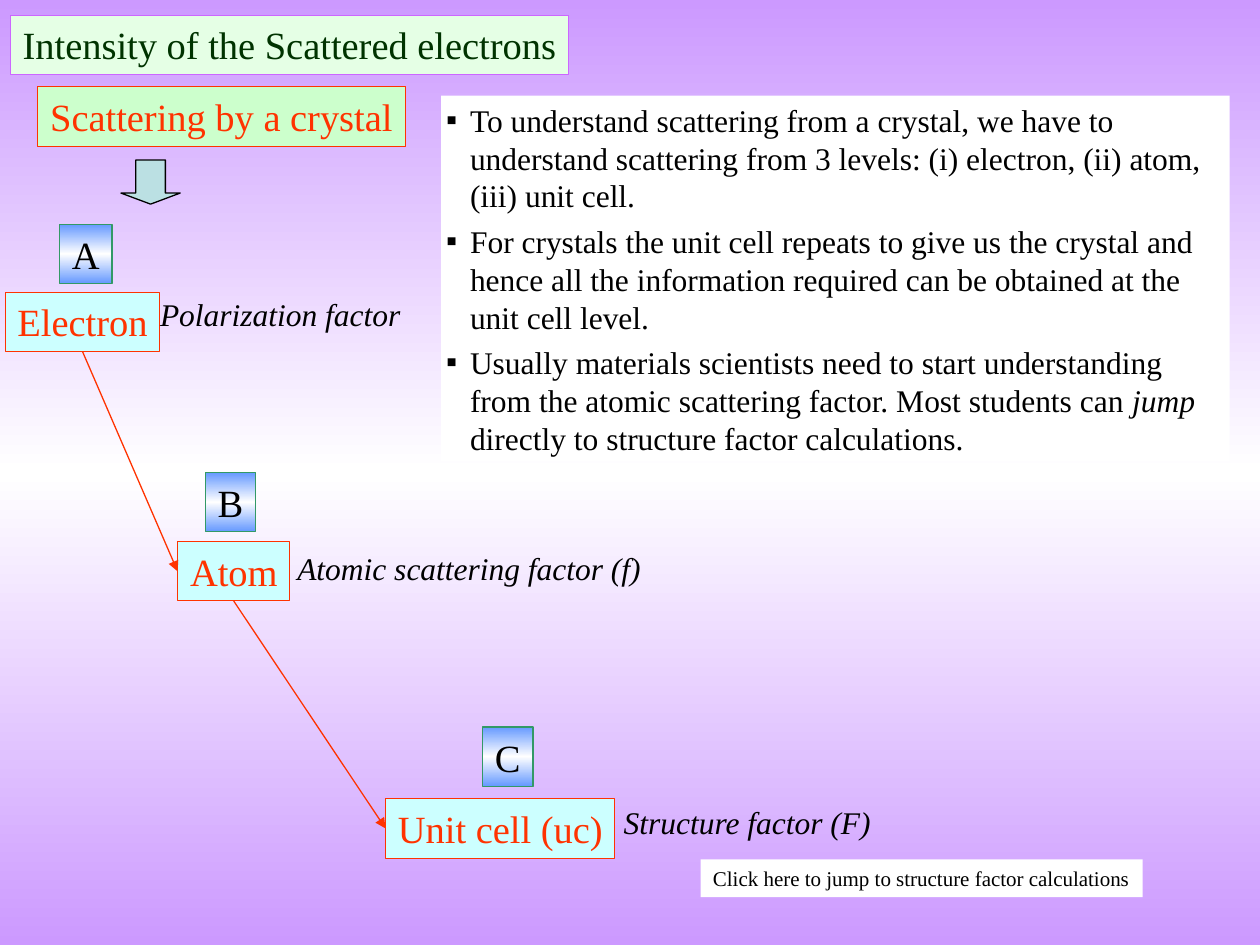
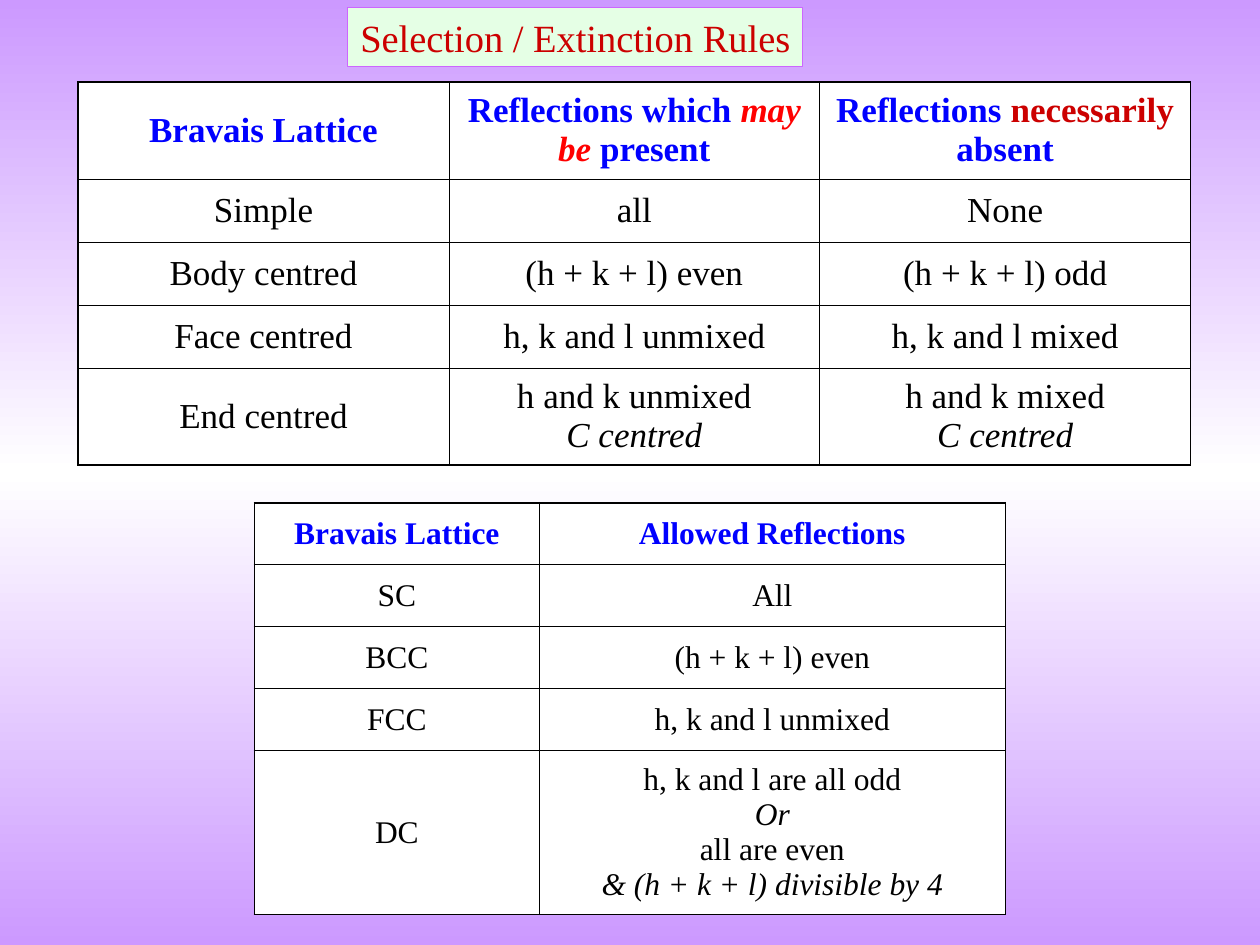
from copy import deepcopy

from lxml import etree
from pptx import Presentation
from pptx.dml.color import RGBColor
from pptx.enum.shapes import MSO_CONNECTOR, MSO_SHAPE
from pptx.enum.text import MSO_ANCHOR, MSO_AUTO_SIZE, PP_ALIGN
from pptx.oxml.ns import qn
from pptx.util import Inches, Pt

RECT, ARROW = MSO_SHAPE.RECTANGLE, MSO_SHAPE.RIGHT_ARROW
STRAIGHT = MSO_CONNECTOR.STRAIGHT
TOP, MIDDLE = MSO_ANCHOR.TOP, MSO_ANCHOR.MIDDLE
LEFT, CENTER = PP_ALIGN.LEFT, PP_ALIGN.CENTER
NO_FIT = MSO_AUTO_SIZE.NONE
BOTTOM_SIDE, LEFT_SIDE = 2, 1

FONT = "Times New Roman"
UNITS_PER_INCH = 10
COLORS = {
    "black": "000000", "white": "FFFFFF", "violet": "CC99FF",
    "title_fill": "E5FFE5", "title_line": "CC66FF", "dark_green": "003300",
    "level_fill": "CCFFFF", "topic_fill": "CCFFCC", "orange": "FF3300",
    "arrow_fill": "BBE0E3", "tag_edge": "6699FF", "tag_line": "339966",
    "blue": "0000FF", "red": "FF0000", "dark_red": "CC0000",
}


def rgb(name):
    """Return the named colour."""
    return RGBColor.from_string(COLORS[name])


def grid(*units):
    """Turn grid units, a hundredth of the slide's width each, into lengths."""
    return [Inches(u / UNITS_PER_INCH) for u in units]


def place(shape, at):
    """Move and size a shape on the grid."""
    shape.left, shape.top, shape.width, shape.height = grid(*at)


def paint(shape, fill, line=None, width=0.5):
    """Give a shape a solid fill and an outline, or no outline."""
    shape.fill.solid()
    shape.fill.fore_color.rgb = rgb(fill)
    outline(shape, line, width)


def outline(shape, line, width):
    """Set or remove the outline of a shape."""
    if line:
        shape.line.color.rgb = rgb(line)
        shape.line.width = Pt(width)
    else:
        shape.line.fill.background()


def mirror_gradient(fill, element, edge):
    """Fill from the edge colour to white and back, top to bottom."""
    fill.gradient()
    fill.gradient_angle = 270
    stops = next(element.iter(qn("a:gsLst")))
    stops.append(deepcopy(stops[0]))
    for stop, pos, name in zip(fill.gradient_stops, (0, 0.5, 1), (edge, "white", edge)):
        stop.position = pos
        stop.color.rgb = rgb(name)


def frame(shape, anchor=TOP, wrap=False, inset=(1, 0.5)):
    """Set up the text frame of a shape and return it."""
    tf = shape.text_frame
    tf.auto_size = NO_FIT
    tf.word_wrap = wrap
    tf.vertical_anchor = anchor
    tf.margin_left = tf.margin_right = grid(inset[0])[0]
    tf.margin_top = tf.margin_bottom = grid(inset[1])[0]
    return tf


def add_run(p, text, size, color="black", italic=False, bold=False):
    """Add one formatted run."""
    r = p.add_run()
    r.text = text
    font = r.font
    font.name, font.size, font.italic, font.bold = FONT, Pt(size), italic, bold
    font.color.rgb = rgb(color)


def write(tf, text, size, color="black", align=LEFT, italic=False):
    """Write one line of text into a frame."""
    p = tf.paragraphs[0]
    p.alignment = align
    p.space_before = Pt(0)
    add_run(p, text, size, color, italic)


def add_title(s, at, text, color):
    """Format the title placeholder as a framed heading kept on one line."""
    title = s.shapes.title
    place(title, at)
    paint(title, "title_fill", "title_line")
    tf = frame(title)
    tf.margin_right = 0
    write(tf, text, 22, color)


def add_box(s, at, text, fill, line=None, color="black", size=22):
    """Add a filled rectangle with one line of text."""
    box = s.shapes.add_shape(RECT, *grid(*at))
    box.shadow.inherit = False
    paint(box, fill, line)
    write(frame(box), text, size, color)
    return box


def add_tag(s, at, letter):
    """Add a gradient square with a letter."""
    tag = s.shapes.add_shape(RECT, *grid(*at))
    tag.shadow.inherit = False
    mirror_gradient(tag.fill, tag.element, "tag_edge")
    outline(tag, "tag_line", 0.75)
    write(frame(tag, MIDDLE), letter, 22, align=CENTER)


def add_label(s, at, text):
    """Add an italic label without insets."""
    box = s.shapes.add_textbox(*grid(*at))
    write(frame(box, inset=(0, 0)), text, 18, italic=True)


def add_down_arrow(s, at):
    """Add a block arrow turned to point down."""
    arrow = s.shapes.add_shape(ARROW, *grid(*at))
    arrow.rotation = 90
    arrow.adjustments[0], arrow.adjustments[1] = 0.5, 0.25
    arrow.shadow.inherit = False
    paint(arrow, "arrow_fill", "black", 0.75)


def link(s, start, end):
    """Draw an arrow from the bottom of one box to the left of another."""
    line = s.shapes.add_connector(STRAIGHT, 0, 0, 0, 0)
    line.begin_connect(start, BOTTOM_SIDE)
    line.end_connect(end, LEFT_SIDE)
    line.line.color.rgb = rgb("orange")
    line.line.width = Pt(0.75)
    ln = next(line.element.iter(qn("a:ln")))
    etree.SubElement(ln, qn("a:tailEnd"), type="triangle")
    etree.SubElement(ln.getparent(), qn("a:effectLst"))


def add_bullets(s, at, items):
    """Fill the body placeholder with square bullets."""
    body = s.placeholders[1]
    place(body, at)
    paint(body, "white")
    tf = frame(body, wrap=True, inset=(0.4, 0.4))
    for i, runs in enumerate(items):
        p = tf.add_paragraph() if i else tf.paragraphs[0]
        pPr = p._p.get_or_add_pPr()
        indent = Inches(0.19)
        pPr.set("marL", str(indent))
        pPr.set("indent", str(-indent))
        bullet_color = etree.SubElement(pPr, qn("a:buClr"))
        etree.SubElement(bullet_color, qn("a:srgbClr"), val=COLORS["black"])
        etree.SubElement(pPr, qn("a:buFont"), typeface=FONT)
        etree.SubElement(pPr, qn("a:buChar"), char="▪")
        p.alignment = LEFT
        p.space_before = Pt(4.5 if i else 0)
        for text, italic in runs:
            add_run(p, text, 18, italic=italic)


def set_borders(cell, widths):
    """Draw the left, right, top and bottom borders of a cell."""
    tcPr = cell._tc.get_or_add_tcPr()
    for i, (side, width) in enumerate(zip("LRTB", widths)):
        ln = etree.Element(qn(f"a:ln{side}"), w=str(Pt(width)))
        fill = etree.SubElement(ln, qn("a:solidFill"))
        etree.SubElement(fill, qn("a:srgbClr"), val=COLORS["black"])
        tcPr.insert(i, ln)


def fill_cell(cell, lines, size, header):
    """Write centred lines, each a list of runs, into a white cell."""
    cell.fill.solid()
    cell.fill.fore_color.rgb = rgb("white")
    cell.vertical_anchor = MIDDLE
    p = cell.text_frame.paragraphs[0]
    p.alignment = CENTER
    for i, runs in enumerate(lines):
        if i:
            p.add_line_break()
        for text, color, italic in runs:
            add_run(p, text, size, color, italic, header)


def as_lines(content, color):
    """Expand a plain string into lines of runs."""
    return [[(content, color, False)]] if isinstance(content, str) else content


def add_grid_table(s, corner, cols, rows, size, data):
    """Add a white table with a heavier outer border."""
    at = grid(*corner, sum(cols), sum(rows))
    table = s.shapes.add_table(len(rows), len(cols), *at).table
    table.first_row = table.horz_banding = False
    for column, width in zip(table.columns, grid(*cols)):
        column.width = width
    for row, height in zip(table.rows, grid(*rows)):
        row.height = height
    last_row, last_col = len(rows) - 1, len(cols) - 1
    for i, contents in enumerate(data):
        for j, content in enumerate(contents):
            cell = table.cell(i, j)
            lines = as_lines(content, "black" if i else "blue")
            fill_cell(cell, lines, size, header=i == 0)
            outer = (j == 0, j == last_col, i == 0, i == last_row)
            set_borders(cell, [1.08 if edge else 0.45 for edge in outer])


def build_scattering(prs):
    """Build the slide on the levels of scattering."""
    s = prs.slides.add_slide(prs.slide_layouts[1])
    add_title(s, (0.8, 1.2, 44.3, 4.7), "Intensity of the Scattered electrons", "dark_green")
    add_box(s, (3, 6.9, 29.2, 4.7), "Scattering by a crystal", "topic_fill", "orange", "orange")
    add_down_arrow(s, (10.2, 12.1, 3.5, 4.7))
    levels = [
        ("A", (4.7, 17.8, 4.2, 4.7), "Electron", (0.4, 23.2, 12.3, 4.7),
         "Polarization factor", (12.7, 23.4, 19.1, 3)),
        ("B", (16.3, 37.5, 4, 4.7), "Atom", (14.1, 43, 8.9, 4.7),
         "Atomic scattering factor (f)", (23.6, 43.6, 27.3, 3)),
        ("C", (38.3, 57.7, 4, 4.7), "Unit cell (uc)", (30.6, 63.4, 18.2, 4.7),
         "Structure factor (F)", (49.5, 63.7, 19.7, 3)),
    ]
    boxes = []
    for letter, tag_at, level, level_at, factor, factor_at in levels:
        add_tag(s, tag_at, letter)
        boxes.append(add_box(s, level_at, level, "level_fill", "orange", "orange"))
        add_label(s, factor_at, factor)
    for start, end in zip(boxes, boxes[1:]):
        link(s, start, end)
    add_box(s, (55.6, 68.2, 35.1, 3), "Click here to jump to structure factor calculations",
            "white", size=12)
    add_bullets(s, (35, 7.6, 62.6, 29), [
        [("To understand scattering from a crystal, we have to understand scattering "
          "from 3 levels: (i) electron, (ii) atom, (iii) unit cell.", False)],
        [("For crystals the unit cell repeats to give us the crystal and hence all the "
          "information required can be obtained at the unit cell level.", False)],
        [("Usually materials scientists need to start understanding from the atomic "
          "scattering factor. Most students can ", False), ("jump ", True),
         ("directly to structure factor calculations.", False)],
    ])


def build_rules(prs):
    """Build the slide with the tables of selection rules."""
    s = prs.slides.add_slide(prs.slide_layouts[5])
    add_title(s, (27.6, 0.6, 36.1, 4.7), "Selection / Extinction Rules", "dark_red")
    c_centred = [("C centred", "black", True)]
    add_grid_table(s, (6.2, 6.5), [29.43] * 3, [7.7, 5, 5, 5, 7.7], 20, [
        ("Bravais Lattice",
         [[("Reflections which ", "blue", False), ("may be ", "red", True),
           ("present", "blue", False)]],
         [[("Reflections ", "blue", False), ("necessarily", "dark_red", False),
           (" absent", "blue", False)]]),
        ("Simple", "all", "None"),
        ("Body centred", "(h + k + l) even", "(h + k + l) odd"),
        ("Face centred", "h, k and l unmixed", "h, k and l mixed"),
        ("End centred",
         [[("h and k unmixed", "black", False)], c_centred],
         [[("h and k mixed", "black", False)], c_centred]),
    ])
    add_grid_table(s, (20.2, 39.9), [22.6, 37], [4.92] * 4 + [13], 18, [
        ("Bravais Lattice", "Allowed Reflections"),
        ("SC", "All"),
        ("BCC", "(h + k + l) even"),
        ("FCC", "h, k and l unmixed"),
        ("DC",
         [[("h, k and l are all odd", "black", False)], [("Or", "black", True)],
          [("all are even", "black", False)],
          [("& (h + k + l) divisible by 4", "black", True)]]),
    ])


def main():
    """Build and save the presentation."""
    prs = Presentation()
    prs.slide_width, prs.slide_height = grid(100, 75)
    master = prs.slide_master
    mirror_gradient(master.background.fill, master.element, "violet")
    build_scattering(prs)
    build_rules(prs)
    prs.save("out.pptx")


if __name__ == "__main__":
    main()
